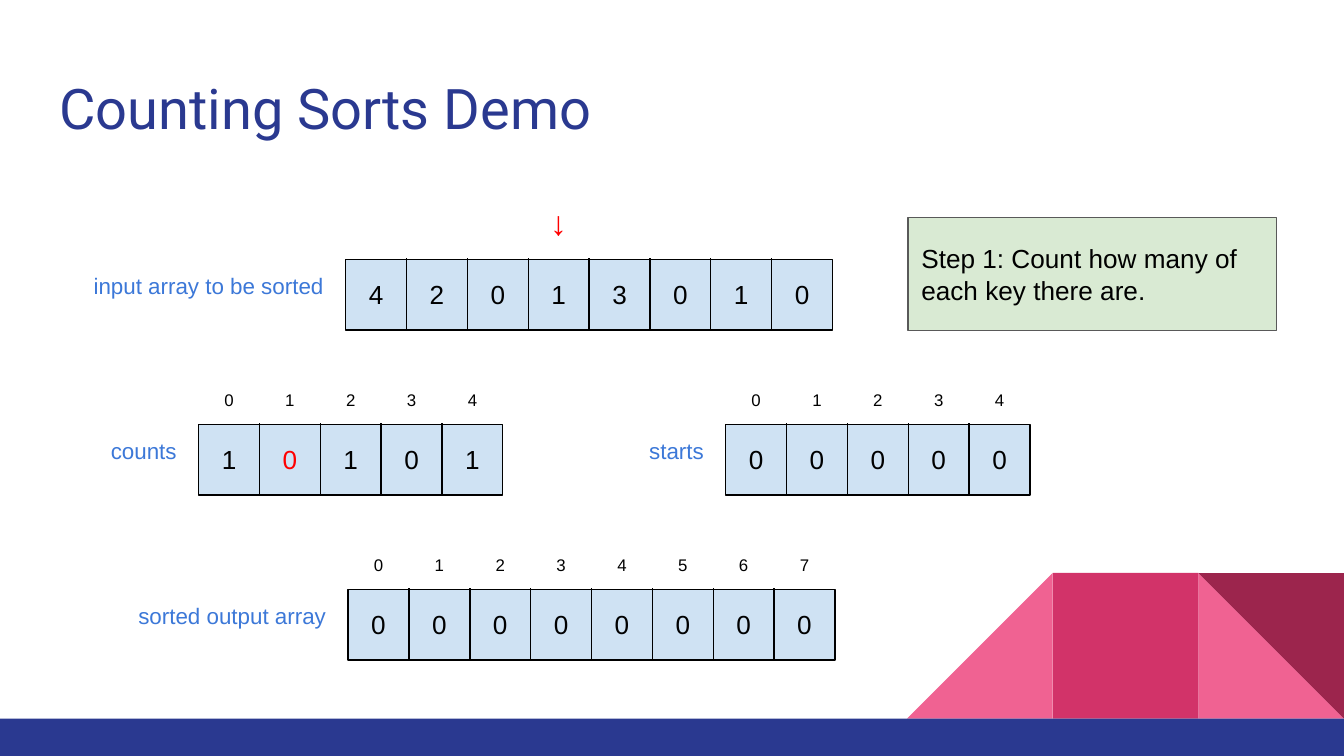
from lxml import etree
from pptx import Presentation
from pptx.dml.color import RGBColor
from pptx.enum.shapes import MSO_CONNECTOR, MSO_SHAPE
from pptx.enum.text import MSO_ANCHOR, MSO_AUTO_SIZE, PP_ALIGN
from pptx.oxml.ns import qn
from pptx.util import Pt

RECTANGLE, RIGHT_TRIANGLE = MSO_SHAPE.RECTANGLE, MSO_SHAPE.RIGHT_TRIANGLE
STRAIGHT = MSO_CONNECTOR.STRAIGHT
LEFT, CENTER, RIGHT = PP_ALIGN.LEFT, PP_ALIGN.CENTER, PP_ALIGN.RIGHT
TOP, MIDDLE = MSO_ANCHOR.TOP, MSO_ANCHOR.MIDDLE
TITLE_ONLY = 5

COLORS = {
    "navy": "2A3990", "pink": "F06292", "rose": "D23369", "wine": "9C254D",
    "cell": "CFE2F3", "step": "D9EAD3", "step_line": "595959",
    "label": "3C78D8", "ink": "000000", "active": "FF0000",
}

PAGE_WIDTH, PAGE_HEIGHT = 720, 405
INSET = 7.2
CELL_WIDTH, CELL_HEIGHT = 32.6, 38.4
INDEX_HEIGHT = 25.2
LABEL_GAP = 4.6
FIRST_ROW, ROW_STEP = 138.4, 88.4


def rgb(name):
    return RGBColor.from_string(COLORS[name])


def write(shape, text, size, color="ink", align=LEFT, anchor=TOP, font="Arial"):
    frame = shape.text_frame
    frame.word_wrap = True
    frame.auto_size = MSO_AUTO_SIZE.NONE
    frame.vertical_anchor = anchor
    frame.margin_left = frame.margin_right = Pt(INSET)
    frame.margin_top = frame.margin_bottom = Pt(INSET)
    para = frame.paragraphs[0]
    para.alignment = align
    span = para.add_run()
    span.text = text
    span.font.name = font
    span.font.size = Pt(size)
    span.font.color.rgb = rgb(color)


def add_text(page, box, text, size, **style):
    write(page.shapes.add_textbox(*map(Pt, box)), text, size, **style)


def add_block(page, kind, box, fill, line=None):
    shape = page.shapes.add_shape(kind, *map(Pt, box))
    shape.shadow.inherit = False
    shape.fill.solid()
    shape.fill.fore_color.rgb = rgb(fill)
    if line:
        shape.line.color.rgb = rgb(line)
        shape.line.width = Pt(0.75)
    else:
        shape.line.fill.background()
    return shape


def add_divider(page, x, top, bottom):
    divider = page.shapes.add_connector(STRAIGHT, Pt(x), Pt(top), Pt(x), Pt(bottom))
    divider.line.color.rgb = rgb("ink")
    divider.line.width = Pt(0.75)
    etree.SubElement(divider._element.spPr, qn("a:effectLst"))


def add_title(page, box, text):
    title = page.shapes.title
    title.left, title.top, title.width, title.height = map(Pt, box)
    write(title, text, 30, color="navy", font="Roboto")


def add_corner_art(page, right, bottom, side):
    """Draw the folded ribbon whose lower right corner is given."""
    left, top = right - 3 * side, bottom - side
    add_block(page, RIGHT_TRIANGLE, (right - side, top, side, side), "pink")
    ramp = add_block(page, RIGHT_TRIANGLE, (left, top, side, side), "pink")
    ramp._element.spPr.xfrm.set("flipH", "1")
    add_block(page, RECTANGLE, (left + side, top, side, side), "rose")
    fold = add_block(page, RIGHT_TRIANGLE, (right - side, top, side, side), "wine")
    fold.rotation = 180


def add_array(page, left, top, label, label_width, values,
              indexed=True, active=None, pointer=None):
    """Draw a labelled row of cells; active turns a value red, pointer gets an arrow."""
    count = len(values)
    add_block(page, RECTANGLE, (left, top + 0.5, count * CELL_WIDTH, CELL_HEIGHT - 0.5),
              "cell", "ink")
    for index, value in enumerate(values):
        x = left + index * CELL_WIDTH
        if index:
            add_divider(page, x, top, top + CELL_HEIGHT)
        add_text(page, (x, top, CELL_WIDTH, CELL_HEIGHT), str(value), 14,
                 color="active" if index == active else "ink",
                 align=CENTER, anchor=MIDDLE)
        if indexed:
            add_text(page, (x, top - INDEX_HEIGHT, CELL_WIDTH, INDEX_HEIGHT),
                     str(index), 9, align=CENTER)
        if index == pointer:
            add_text(page, (x, top - CELL_HEIGHT, CELL_WIDTH, CELL_HEIGHT), "↓", 18,
                     color="active", align=CENTER, anchor=MIDDLE)
    add_text(page, (left - LABEL_GAP - label_width, top, label_width, CELL_HEIGHT),
             label, 12, color="label", align=RIGHT)


def add_step(page, box, text):
    note = add_block(page, RECTANGLE, box, "step", "step_line")
    write(note, text, 14, anchor=MIDDLE)


def main():
    deck = Presentation()
    deck.slide_width, deck.slide_height = Pt(PAGE_WIDTH), Pt(PAGE_HEIGHT)
    page = deck.slides.add_slide(deck.slide_layouts[TITLE_ONLY])

    floor = 385
    add_corner_art(page, PAGE_WIDTH, floor, 78)
    add_block(page, RECTANGLE, (0, floor, PAGE_WIDTH, PAGE_HEIGHT - floor), "navy")
    add_title(page, (24.5, 32.4, 671, 47.6), "Counting Sorts Demo")

    input_row, tally_row, output_row = (FIRST_ROW + i * ROW_STEP for i in range(3))
    add_array(page, 185.2, input_row, "input array to be sorted", 156,
              [4, 2, 0, 1, 3, 0, 1, 0], indexed=False, pointer=3)
    add_array(page, 106.4, tally_row, "counts", 78, [1, 0, 1, 0, 1], active=1)
    add_array(page, 388.8, tally_row, "starts", 78, [0] * 5)
    add_array(page, 186.5, output_row, "sorted output array", 137.5, [0] * 8)
    add_step(page, (486.5, 116.6, 197.3, 60.4),
             "Step 1: Count how many of each key there are.")

    deck.save("out.pptx")


if __name__ == "__main__":
    main()
